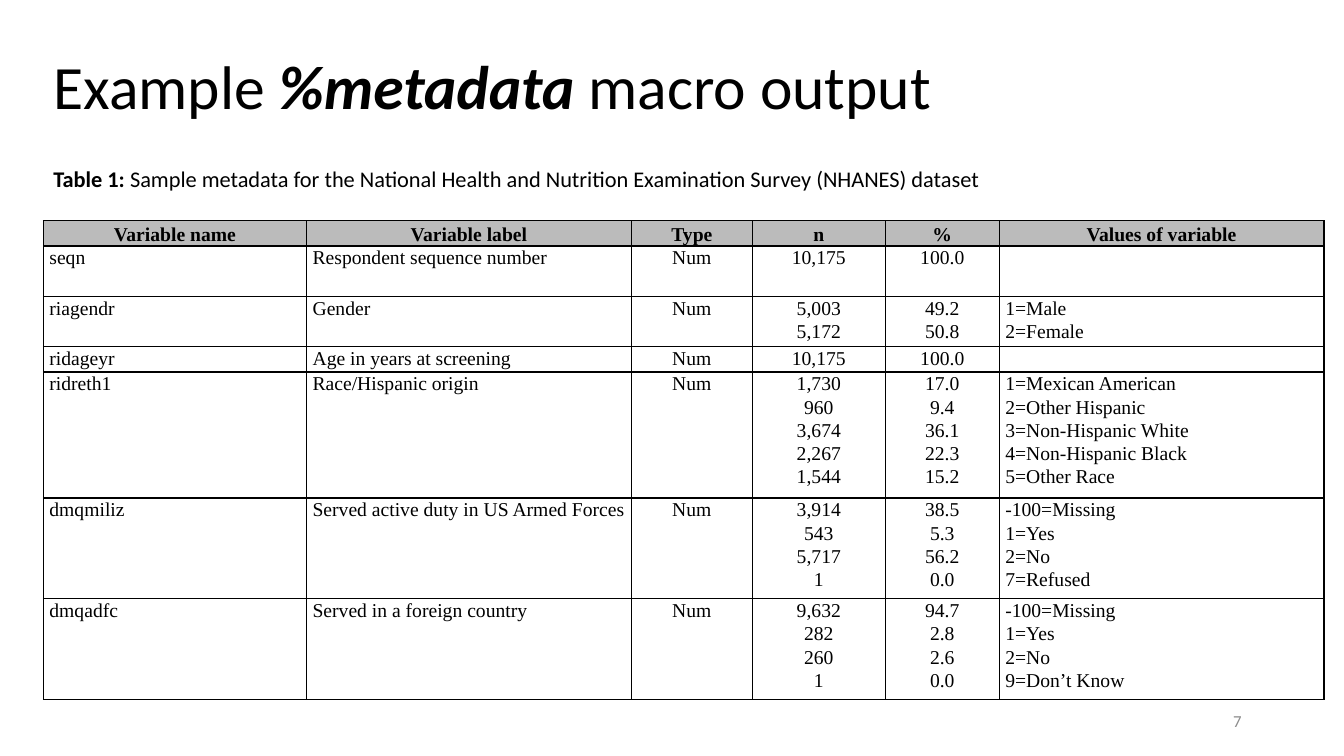
from copy import deepcopy
from pptx import Presentation
from pptx import util as u
from pptx.dml.color import RGBColor
from pptx.enum import text as t
from pptx.oxml import parse_xml
from pptx.oxml.ns import nsdecls

TITLE = [("Example", False), (" %metadata ", True), ("macro output", False)]
CAPTION = [
    ("Table 1: ", True),
    ("Sample metadata for the National Health and Nutrition Examination Survey (NHANES) dataset", False),
]
PAGE = "7"
HEADINGS = ["Variable name", "Variable label", "Type", "n", "%", "Values of variable"]
VARIABLES = [
    ("seqn", "Respondent sequence number", "Num", "10,175", "100.0", ""),
    ("riagendr", "Gender", "Num", "5,003\n5,172", "49.2\n50.8", "1=Male\n2=Female"),
    ("ridageyr", "Age in years at screening", "Num", "10,175", "100.0", ""),
    ("ridreth1", "Race/Hispanic origin", "Num",
     "1,730\n960\n3,674\n2,267\n1,544", "17.0\n9.4\n36.1\n22.3\n15.2",
     "1=Mexican American\n2=Other Hispanic\n3=Non-Hispanic White\n"
     "4=Non-Hispanic Black\n5=Other Race"),
    ("dmqmiliz", "Served active duty in US Armed Forces", "Num",
     "3,914\n543\n5,717\n1", "38.5\n5.3\n56.2\n0.0",
     "-100=Missing\n1=Yes\n2=No\n7=Refused"),
    ("dmqadfc", "Served in a foreign country", "Num",
     "9,632\n282\n260\n1", "94.7\n2.8\n2.6\n0.0",
     "-100=Missing\n1=Yes\n2=No\n9=Don’t Know"),
]
COLUMN_WIDTHS = [188, 232, 86.4, 95, 81.4, 232]
ROW_LINES = [1, 2, 2, 1, 5, 4, 4]
CENTERED = {2, 3, 4}
LINE = 18
LEFT = 31
CENTER, RIGHT = t.PP_ALIGN.CENTER, t.PP_ALIGN.RIGHT
MIDDLE, BOTTOM, TOP = t.MSO_ANCHOR.MIDDLE, t.MSO_ANCHOR.BOTTOM, t.MSO_ANCHOR.TOP


def color(code):
    return RGBColor.from_string(code)


def write(frame, parts, size, font="Calibri", ink="000000", italic=False,
          align=None, spacing=None, before=None, after=None):
    paragraph = frame.paragraphs[0]
    paragraph.alignment = align
    paragraph.line_spacing = spacing
    paragraph.space_before = before
    paragraph.space_after = after
    for words, bold in parts:
        if not words:
            paragraph._p.append(parse_xml(
                f'<a:endParaRPr {nsdecls("a")} sz="{size * 100}">'
                f'<a:latin typeface="{font}"/></a:endParaRPr>'))
            continue
        for index, line in enumerate(words.split("\n")):
            if index:
                paragraph.add_line_break()
                paragraph._p[-1].append(deepcopy(run._r.rPr))
            run = paragraph.add_run()
            run.text = line
            run.font.size = u.Pt(size)
            run.font.name = font
            run.font.bold = bold
            run.font.italic = bold and italic
            run.font.color.rgb = color(ink)


def add_text(slide, place, parts, size, anchor=TOP, **style):
    frame = slide.shapes.add_textbox(*map(u.Pt, place)).text_frame
    frame.word_wrap = True
    frame.vertical_anchor = anchor
    write(frame, parts, size, **style)


def style_cell(cell, fill, anchor):
    for side in ("lnL", "lnR", "lnT", "lnB"):
        cell._tc.get_or_add_tcPr().append(parse_xml(
            f'<a:{side} {nsdecls("a")} w="12700"><a:solidFill>'
            f'<a:srgbClr val="000000"/></a:solidFill></a:{side}>'))
    cell.fill.solid()
    cell.fill.fore_color.rgb = color(fill)
    cell.vertical_anchor = anchor
    cell.margin_left = cell.margin_right = u.Pt(4.3)
    cell.margin_top = cell.margin_bottom = 0


def add_metadata(slide):
    rows = [HEADINGS] + VARIABLES
    heights = [LINE * lines for lines in ROW_LINES]
    place = (LEFT, 157.7, sum(COLUMN_WIDTHS), sum(heights))
    table = slide.shapes.add_table(len(rows), len(HEADINGS), *map(u.Pt, place)).table
    table.horz_banding = False
    for column, width in zip(table.columns, COLUMN_WIDTHS):
        column.width = u.Pt(width)
    for r, (values, height) in enumerate(zip(rows, heights)):
        table.rows[r].height = u.Pt(height)
        heading = r == 0
        for c, value in enumerate(values):
            cell = table.cell(r, c)
            style_cell(cell, "BBBBBB" if heading else "FFFFFF", BOTTOM if heading else TOP)
            write(cell.text_frame, [(value, heading)], 14, font="Times New Roman",
                  align=CENTER if heading or c in CENTERED else None,
                  spacing=1.07, before=u.Pt(4), after=u.Pt(4))


def main():
    deck = Presentation()
    deck.slide_width, deck.slide_height = u.Pt(960), u.Pt(540)
    slide = deck.slides.add_slide(deck.slide_layouts[6])
    add_text(slide, (LEFT, 21.6, 863, 85), TITLE, 44, anchor=MIDDLE, italic=True, spacing=0.9)
    add_text(slide, (678, 500.4, 216, 28.8), [(PAGE, False)], 12, anchor=MIDDLE,
             ink="8C8C8C", align=RIGHT)
    add_metadata(slide)
    add_text(slide, (LEFT, 116.6, 915, 25.2), CAPTION, 16, spacing=0.9, before=u.Pt(10))
    deck.save("out.pptx")


if __name__ == "__main__":
    main()
